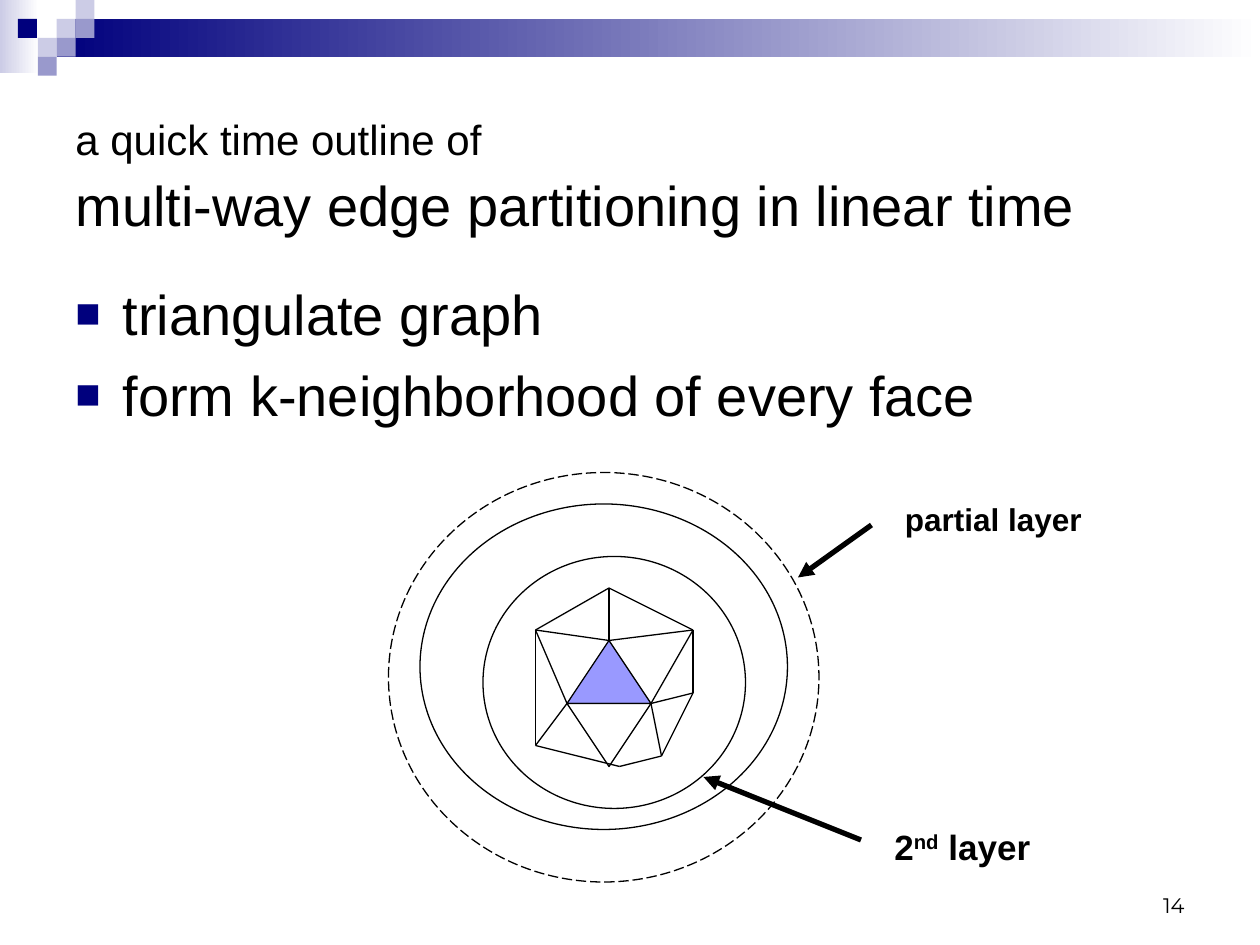
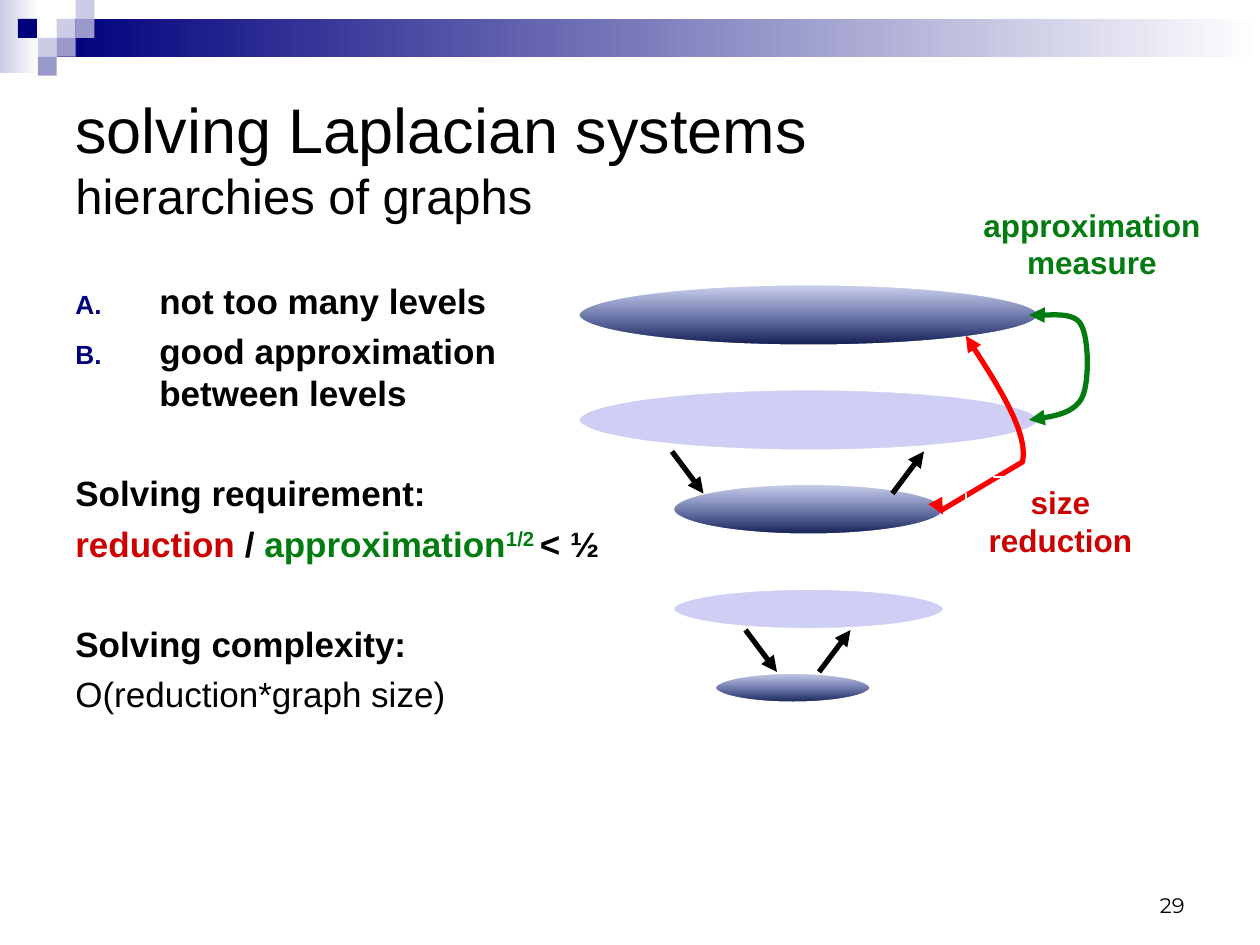
"""Build two slides on graph partitioning and solving Laplacian systems."""
import collections
import itertools

import lxml.etree
import pptx
import pptx.dml.color
import pptx.enum.dml
import pptx.enum.shapes
import pptx.enum.text
import pptx.oxml.ns
import pptx.util

RGB = pptx.dml.color.RGBColor
SHAPE = pptx.enum.shapes.MSO_SHAPE
ALIGN = pptx.enum.text.PP_ALIGN
ANCHOR = pptx.enum.text.MSO_ANCHOR
LONG_DASH = pptx.enum.dml.MSO_LINE.LONG_DASH

BLACK = RGB(0x00, 0x00, 0x00)
WHITE = RGB(0xFF, 0xFF, 0xFF)
NAVY = RGB(0x00, 0x00, 0x7D)
LAVENDER = RGB(0xCC, 0xCC, 0xE6)
PERIWINKLE = RGB(0x99, 0x99, 0xCC)
FACE_BLUE = RGB(0x99, 0x99, 0xFF)
LEVEL_BLUE = RGB(0x15, 0x2C, 0x9F)
LEVEL_DARK = RGB(0x09, 0x14, 0x49)
SPARSE_BLUE = RGB(0x00, 0x00, 0xCC)
GREEN = RGB(0x02, 0x7C, 0x11)
DARK_RED = RGB(0xCC, 0x00, 0x00)
RED = RGB(0xFF, 0x00, 0x00)

COLUMNS, ROWS = 120, 90
CELL = pptx.util.Inches(10) // COLUMNS
SQUARE = 1.8
LEVEL_ALPHA = 19


class Box(collections.namedtuple("Box", "left top width height")):
    """A rectangle measured in grid cells."""

    def inside(self, left, top, width, height):
        """Return a box placed relative to this one."""
        return Box(self.left + left, self.top + top, width, height)

    def point(self, column, row):
        """Return the slide position of a grid point of this box."""
        return round((self.left + column) * CELL), round((self.top + row) * CELL)

    def lengths(self):
        """Return left, top, width and height as slide lengths."""
        return [round(value * CELL) for value in self]


Span = collections.namedtuple("Span", "text size color bold raised",
                              defaults=(20, BLACK, False, False))
Para = collections.namedtuple("Para", "spans before indent hang bullet align",
                              defaults=(0, 0, 0, None, ALIGN.LEFT))

PAGE = Box(0, 0, COLUMNS, ROWS)
TITLE = PAGE.inside(6, 6, 108, 18)
BODY = PAGE.inside(6, 26, 108, 51)
NUMBER = PAGE.inside(86, 82, 28, 6)


def add_element(parent, tag, **attributes):
    """Append a drawing element to a parent element."""
    name = pptx.oxml.ns.qn("a:" + tag)
    child = lxml.etree.SubElement(parent, name)
    for key, value in attributes.items():
        child.set(key, str(value))
    return child


def set_alpha(color_element, percent):
    """Make a colour partly transparent."""
    add_element(color_element, "alpha", val=percent * 1000)


def set_line(line, color, width, dash=None):
    """Style a line."""
    line.color.rgb = color
    line.width = pptx.util.Pt(width)
    if dash:
        line.dash_style = dash


def add_arrowheads(line, *ends):
    """Put triangles on the named ends of a line."""
    for end in ends:
        add_element(line._get_or_add_ln(), end, type="triangle")


def add_figure(slide, kind, box, fill=None, line=None, alpha=None):
    """Add a preset shape with a plain fill and an optional line."""
    shape = slide.shapes.add_shape(kind, *box.lengths())
    shape.shadow.inherit = False
    if fill is None:
        shape.fill.background()
    else:
        shape.fill.solid()
        shape.fill.fore_color.rgb = fill
        if alpha:
            set_alpha(shape._element.spPr.find(".//" + pptx.oxml.ns.qn("a:srgbClr")), alpha)
    if line:
        set_line(shape.line, *line)
    else:
        shape.line.fill.background()
    return shape


def shade(shape, first, last, angle, alpha=None):
    """Fill a shape with a two colour gradient."""
    shape.fill.gradient()
    shape.fill.gradient_angle = angle
    for stop, color in zip(shape.fill.gradient_stops, (first, last)):
        stop.color.rgb = color
    if alpha:
        set_alpha(shape._element.spPr.find(".//" + pptx.oxml.ns.qn("a:srgbClr")), alpha)


def add_line(slide, box, start, end, width=0.75, dash=None, arrow=False):
    """Add a black straight line between two grid points of a box."""
    connector = slide.shapes.add_connector(
        pptx.enum.shapes.MSO_CONNECTOR.STRAIGHT, *box.point(*start), *box.point(*end))
    set_line(connector.line, BLACK, width, dash)
    if arrow:
        add_arrowheads(connector.line, "tailEnd")
    add_element(connector._element.spPr, "effectLst")


def add_text(slide, box, paras, anchor=ANCHOR.TOP, font="Arial"):
    """Add a wrapping text box made of styled paragraphs."""
    shape = slide.shapes.add_textbox(*box.lengths())
    frame = shape.text_frame
    frame.word_wrap = True
    frame.vertical_anchor = anchor
    for index, para in enumerate(paras):
        paragraph = frame.paragraphs[0] if index == 0 else frame.add_paragraph()
        properties = paragraph._p.get_or_add_pPr()
        properties.set("marL", str(round(para.indent * CELL)))
        properties.set("indent", str(-round(para.hang * CELL)))
        if para.bullet:
            tag, attributes = para.bullet
            color = add_element(properties, "buClr")
            add_element(color, "srgbClr", val=NAVY)
            add_element(properties, "buSzPct", val=75000)
            add_element(properties, "buFont", typeface="Arial")
            add_element(properties, tag, **attributes)
        paragraph.alignment = para.align
        paragraph.space_before = pptx.util.Pt(para.before)
        for span in para.spans:
            run = paragraph.add_run()
            run.text = span.text
            run.font.name = font
            run.font.size = pptx.util.Pt(span.size)
            run.font.bold = span.bold
            run.font.color.rgb = span.color
            if span.raised:
                run._r.get_or_add_rPr().set("baseline", "30000")
    return shape


def add_header(slide, box):
    """Draw the gradient band and the mosaic of squares."""
    corner = add_figure(slide, SHAPE.RECTANGLE, box.inside(0, 0, 3.7, 7), WHITE)
    shade(corner, LAVENDER, WHITE, 0)
    start = 3 * SQUARE
    band = add_figure(slide, SHAPE.RECTANGLE,
                      box.inside(start, SQUARE, box.width - start, 2 * SQUARE), WHITE)
    shade(band, NAVY, WHITE, 0)
    mosaic = [(3, 1, LAVENDER), (4, 0, LAVENDER), (4, 1, PERIWINKLE), (2, 2, LAVENDER),
              (0.95, 1, NAVY), (3, 2, PERIWINKLE), (2, 3, PERIWINKLE)]
    for column, row, color in mosaic:
        tile = box.inside(column * SQUARE, row * SQUARE, SQUARE, SQUARE)
        add_figure(slide, SHAPE.RECTANGLE, tile, color)


def add_page(deck, title_box, title_lines, number):
    """Add a slide with the shared header, title and page number."""
    slide = deck.slides.add_slide(deck.slide_layouts[6])
    add_header(slide, PAGE)
    paras = [Para([Span(text, size)], before)
             for text, size, before in title_lines]
    add_text(slide, title_box, paras, ANCHOR.MIDDLE)
    add_text(slide, NUMBER, [Para([Span(number, 12)], align=ALIGN.RIGHT)],
             ANCHOR.BOTTOM, "Montserrat")
    return slide


def draw_neighborhood(slide, box):
    """Draw a triangulated face with the layers around it."""
    thin = (BLACK, 0.75)
    rings = [((9, 8, 25, 24), thin), ((3, 3, 35, 31), thin),
             ((0, 0, 41, 39), (BLACK, 0.75, LONG_DASH))]
    for ring, line in rings:
        add_figure(slide, SHAPE.OVAL, box.inside(*ring), line=line)
    for start, end in [((45, 35), (30, 29)), ((46, 5), (39, 10))]:
        add_line(slide, box, start, end, 3, arrow=True)
    add_text(slide, box.inside(47, 33, 25, 5.3), [Para([
        Span("2", bold=True), Span("nd", bold=True, raised=True), Span(" layer", bold=True)])])
    add_text(slide, box.inside(48, 2, 22, 4.8), [Para([Span("partial layer", 18, bold=True)])])

    add_figure(slide, SHAPE.ISOSCELES_TRIANGLE, box.inside(17, 16, 8, 6), FACE_BLUE, thin)
    lower = add_figure(slide, SHAPE.ISOSCELES_TRIANGLE, box.inside(17, 22, 8, 6), WHITE, thin)
    lower.rotation = 180
    apex, left, right = (21, 16), (17, 22), (25, 22)
    rim = [(21, 11), (29, 15), (29, 21), (26, 27), (22, 28), (14, 26), (14, 15)]
    top, north_east, east, south_east, _, south_west, north_west = rim
    spokes = [(apex, top), (apex, north_east), (apex, north_west), (right, north_east),
              (right, east), (right, south_east), (left, north_west), (left, south_west)]
    for start, end in itertools.chain(zip(rim, rim[1:] + rim[:1]), spokes):
        add_line(slide, box, start, end)


def trace_curve(start, *segments, steps=12):
    """Return points along joined cubic curves and straight segments."""
    points = [start]
    for segment in segments:
        if len(segment) == 1:
            points.append(segment[0])
            continue
        controls = (points[-1],) + segment
        for step in range(1, steps + 1):
            t = step / steps
            weights = ((1 - t) ** 3, 3 * t * (1 - t) ** 2, 3 * t * t * (1 - t), t ** 3)
            points.append(tuple(sum(weight * control[axis] for weight, control
                                    in zip(weights, controls)) for axis in (0, 1)))
    return points


def add_link(slide, box, points, color):
    """Add an open curved line with arrowheads at both ends."""
    places = [box.point(*point) for point in points]
    builder = slide.shapes.build_freeform(*places[0])
    builder.add_line_segments(places[1:], close=False)
    shape = builder.convert_to_shape()
    shape.shadow.inherit = False
    shape.fill.background()
    set_line(shape.line, color, 3)
    add_arrowheads(shape.line, "headEnd", "tailEnd")


def add_measure(slide, box, text, color):
    """Add a centred label with a white dashed frame."""
    label = add_text(slide, box, [Para([Span(text, 18, color, True)], align=ALIGN.CENTER)])
    set_line(label.line, WHITE, 1, LONG_DASH)


def draw_hierarchy(slide, box):
    """Draw the shrinking levels of graphs and the links between them."""
    outline = (WHITE, 2.25)
    for level in [(0, 8, 44, 6), (9, 27, 26, 5), (13, 45, 15, 3)]:
        graph = add_figure(slide, SHAPE.OVAL, box.inside(*level), WHITE, outline)
        shade(graph, LEVEL_BLUE, LEVEL_DARK, 270, LEVEL_ALPHA)
    for level in [(0, 18, 44, 6), (9, 37, 26, 4)]:
        add_figure(slide, SHAPE.OVAL, box.inside(*level), SPARSE_BLUE, outline, LEVEL_ALPHA)
    for left, right, upper in [(9, 33, 24), (16, 26, 41)]:
        lower = upper + 4
        add_line(slide, box, (left, upper), (left + 3, lower), 3, LONG_DASH, True)
        add_line(slide, box, (right - 3, lower), (right, upper), 3, LONG_DASH, True)

    approximation = trace_curve(
        (43, 11), ((44, 11),), ((44.8, 11.1), (47.4, 10.6), (48, 12)),
        ((48.7, 13.3), (48.8, 17.5), (48, 19)), ((47.1, 20.5), (45.1, 20.7), (43, 21)))
    add_link(slide, box, approximation, GREEN)
    add_measure(slide, box.inside(37, 0, 24, 8.4), "approximation measure", GREEN)
    reduction = trace_curve((37, 13), ((40, 17.6), (43, 22.2), (42.4, 25)),
                            ((34, 30),), ((34.8, 30),))
    add_link(slide, box, reduction, RED)
    add_measure(slide, box.inside(37, 26.4, 18, 8.4), "size reduction", DARK_RED)


def build_partitioning(deck):
    """Build the slide on edge partitioning."""
    slide = add_page(deck, TITLE._replace(top=TITLE.top + 1.7), [
        ("a quick time outline of", 24, 0),
        ("multi-way edge partitioning in linear time", 32, 4)], "14")
    square = ("buChar", {"char": "■"})
    steps = ["triangulate graph", "form k-neighborhood of every face"]
    add_text(slide, BODY, [Para([Span(step, 32)], 8 * min(index, 1), 4.5, 4.5, square)
                           for index, step in enumerate(steps)])
    draw_neighborhood(slide, PAGE.inside(37, 45, 73, 39))


def build_solving(deck):
    """Build the slide on Laplacian systems."""
    slide = add_page(deck, TITLE, [("solving Laplacian systems", 36, 0),
                                   ("hierarchies of graphs", 28, 0)], "29")
    letter = ("buAutoNum", {"type": "alphaUcPeriod"})
    goals = ["not too many levels", "good approximation between levels"]
    paras = [Para([Span(goal, bold=True)], 5 * index, 8, 8, letter)
             for index, goal in enumerate(goals)]
    condition = [Span("reduction ", color=DARK_RED, bold=True), Span("/ ", bold=True),
                 Span("approximation", color=GREEN, bold=True),
                 Span("1/2 ", color=GREEN, bold=True, raised=True), Span("< ½", bold=True)]
    paras += [Para([Span("Solving requirement:", bold=True)], 33, 8, 8),
              Para(condition, 5, 8, 8),
              Para([Span("Solving complexity:", bold=True)], 33, 8, 8),
              Para([Span("O(reduction*graph size)")], 5, 8, 8)]
    add_text(slide, BODY._replace(width=BODY.width / 2), paras)
    draw_hierarchy(slide, PAGE.inside(55, 19, 61, 48))


def main():
    """Create the deck and save it."""
    deck = pptx.Presentation()
    deck.slide_width, deck.slide_height = COLUMNS * CELL, ROWS * CELL
    build_partitioning(deck)
    build_solving(deck)
    deck.save("out.pptx")


if __name__ == "__main__":
    main()
